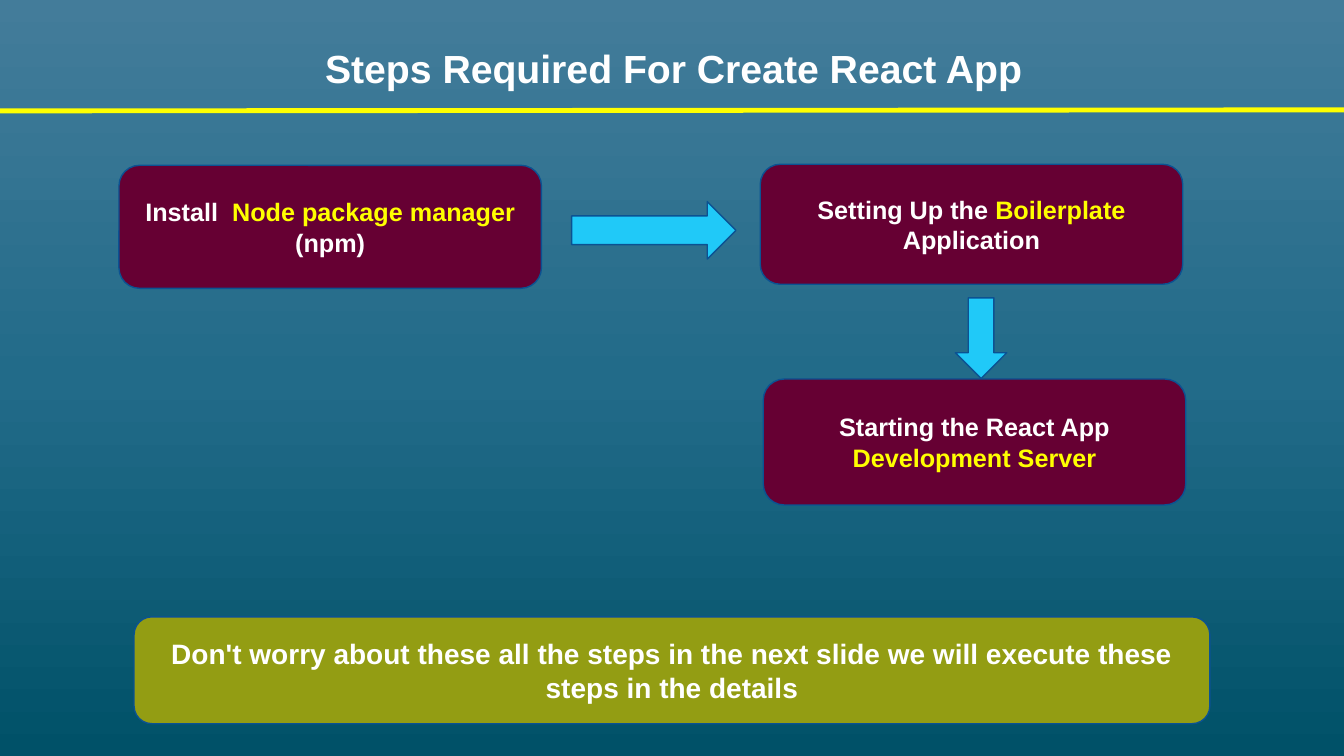
from copy import deepcopy
from dataclasses import dataclass

from pptx import Presentation
from pptx.dml.color import RGBColor
from pptx.enum.shapes import MSO_CONNECTOR, MSO_SHAPE
from pptx.enum.text import MSO_ANCHOR, PP_ALIGN
from pptx.oxml.ns import qn
from pptx.util import Inches, Pt
from lxml.etree import SubElement


@dataclass(frozen=True)
class Theme:
    font: str = "Arial"
    text: str = "FFFFFF"
    highlight: str = "FFFF00"
    step: str = "660033"
    arrow: str = "20C9F8"
    note: str = "939D13"
    outline: str = "0B5292"
    background: tuple = ("437C9A", "226B89", "005168")
    title_size: int = 28
    step_size: int = 18
    note_size: int = 20
    outline_width: float = 1
    rule_width: float = 3.5


THEME = Theme()
SLIDE_WIDTH, SLIDE_HEIGHT = 13.33, 7.5
STEP_WIDTH = 4.19


def color(value):
    return RGBColor.from_string(value)


def write_text(shape, runs, size):
    frame = shape.text_frame
    frame.word_wrap = True
    frame.vertical_anchor = MSO_ANCHOR.MIDDLE
    paragraph = frame.paragraphs[0]
    paragraph.alignment = PP_ALIGN.CENTER
    for text, run_color in runs:
        run = paragraph.add_run()
        run.text = text
        run.font.name = THEME.font
        run.font.size = Pt(size)
        run.font.bold = True
        run.font.color.rgb = color(run_color)
    return paragraph


def add_block(slide, kind, box, fill):
    shape = slide.shapes.add_shape(kind, *map(Inches, box))
    shape.shadow.inherit = False
    shape.fill.solid()
    shape.fill.fore_color.rgb = color(fill)
    shape.line.color.rgb = color(THEME.outline)
    shape.line.width = Pt(THEME.outline_width)
    return shape


def paint_background(slide):
    fill = slide.background.fill
    fill.gradient()
    fill.gradient_angle = 270
    stop_list = slide.element.find(".//" + qn("a:gsLst"))
    stop_list.insert(1, deepcopy(stop_list[0]))
    for index, (stop, value) in enumerate(zip(fill.gradient_stops, THEME.background)):
        stop.position = index / 2
        stop.color.rgb = color(value)


def add_header(slide, box):
    left, top, width, height = box
    title = slide.shapes.title
    title.left, title.top = Inches(left), Inches(top)
    title.width, title.height = Inches(width), Inches(height)
    paragraph = write_text(
        title, [("Steps Required For Create React App", THEME.text)], THEME.title_size
    )
    paragraph.line_spacing = 0.9
    bottom = top + height
    rule = slide.shapes.add_connector(
        MSO_CONNECTOR.STRAIGHT,
        0, Inches(bottom), Inches(SLIDE_WIDTH), Inches(bottom - 0.01),
    )
    rule.line.color.rgb = color(THEME.highlight)
    rule.line.width = Pt(THEME.rule_width)
    SubElement(rule.element.spPr, qn("a:effectLst"))


def add_steps(slide, left, top):
    steps = [
        (0, 0.01, 1.22, [
            ("Install  ", THEME.text),
            ("Node package manager ", THEME.highlight),
            ("(npm)", THEME.text),
        ]),
        (6.36, 0, 1.19, [
            ("Setting Up the ", THEME.text),
            ("Boilerplate ", THEME.highlight),
            ("Application", THEME.text),
        ]),
        (6.39, 2.13, 1.25, [
            ("Starting the React App ", THEME.text),
            ("Development Server", THEME.highlight),
        ]),
    ]
    for x, y, height, runs in steps:
        box = (left + x, top + y, STEP_WIDTH, height)
        step = add_block(slide, MSO_SHAPE.ROUNDED_RECTANGLE, box, THEME.step)
        write_text(step, runs, THEME.step_size)

    for x, y, width, height, rotation in [
        (4.49, 0.37, 1.63, 0.57, 0),
        (8.15, 1.47, 0.8, 0.51, 90),
    ]:
        box = (left + x, top + y, width, height)
        arrow = add_block(slide, MSO_SHAPE.RIGHT_ARROW, box, THEME.arrow)
        arrow.rotation = rotation


def add_note(slide, box):
    note = add_block(slide, MSO_SHAPE.ROUNDED_RECTANGLE, box, THEME.note)
    text = (
        "Don't worry about these all the steps in the next slide "
        "we will execute these steps in the details"
    )
    write_text(note, [(text, THEME.text)], THEME.note_size)


def main():
    presentation = Presentation()
    presentation.slide_width = Inches(SLIDE_WIDTH)
    presentation.slide_height = Inches(SLIDE_HEIGHT)
    slide = presentation.slides.add_slide(presentation.slide_layouts[5])
    paint_background(slide)
    add_header(slide, (0.35, 0.31, 12.66, 0.79))
    add_steps(slide, 1.18, 1.63)
    add_note(slide, (1.33, 6.12, 10.67, 1.06))
    presentation.save("out.pptx")


if __name__ == "__main__":
    main()
